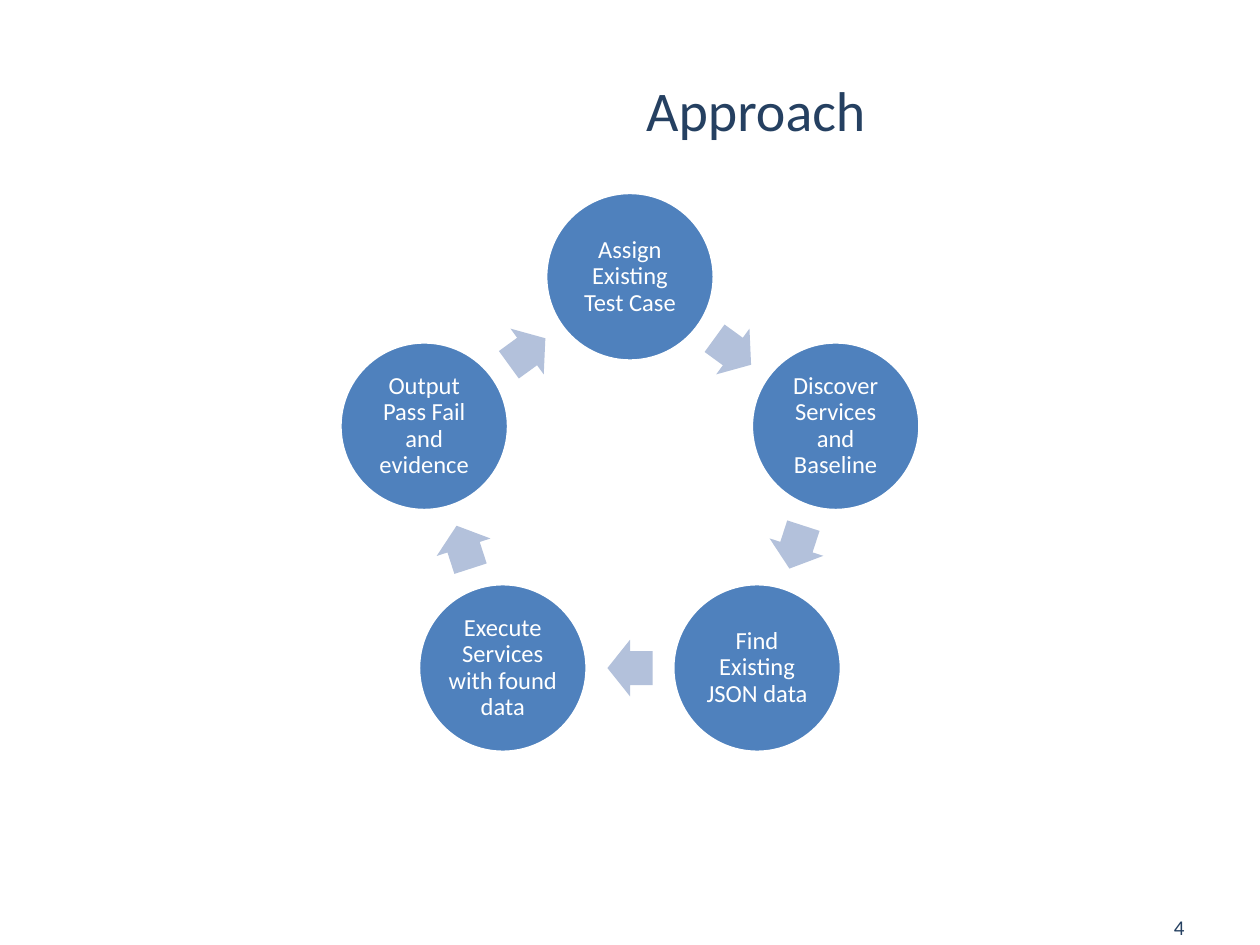
import math
import pptx
import pptx.util
import pptx.dml.color
import pptx.enum.shapes
import pptx.enum.text
from pptx.util import Cm, Pt

SHAPE = pptx.enum.shapes.MSO_SHAPE
ALIGN = pptx.enum.text.PP_ALIGN
NAVY, BLUE, PALE, WHITE = "254061", "4F81BD", "B3C1DB", "FFFFFF"
STEPS = [
    "Assign Existing Test Case",
    "Discover Services and Baseline",
    "Find Existing JSON data",
    "Execute Services with found data",
    "Output Pass Fail and evidence",
]


def color(value):
    return pptx.dml.color.RGBColor.from_string(value)


def write(tf, text, size=14, fill=NAVY, align=ALIGN.CENTER, spacing=None, inset=None):
    tf.word_wrap = True
    tf.vertical_anchor = pptx.enum.text.MSO_ANCHOR.MIDDLE
    if inset is not None:
        tf.margin_left = tf.margin_right = tf.margin_top = tf.margin_bottom = Cm(inset)
    p = tf.paragraphs[0]
    p.alignment = align
    if spacing:
        p.line_spacing = spacing
    r = p.add_run()
    r.text = text
    r.font.name = "Calibri"
    r.font.size = Pt(size)
    r.font.color.rgb = color(fill)


def add_centered(shapes, kind, x, y, w, h, fill):
    sp = shapes.add_shape(kind, Cm(x - w / 2), Cm(y - h / 2), Cm(w), Cm(h))
    sp.shadow.inherit = False
    sp.fill.solid()
    sp.fill.fore_color.rgb = color(fill)
    sp.line.fill.background()
    return sp


def add_title(s, text, left, top, width, height):
    sp = s.shapes.title
    sp.left, sp.top, sp.width, sp.height = Cm(left), Cm(top), Cm(width), Cm(height)
    write(sp.text_frame, text, size=32)


def add_page_number(s, text, left, top, width, height):
    sp = s.shapes.add_textbox(Cm(left), Cm(top), Cm(width), Cm(height))
    write(sp.text_frame, text, size=12, align=ALIGN.RIGHT)


def add_cycle(s, steps, left, top, size, diameter):
    shapes = s.shapes.add_group_shape().shapes
    radius = (size - diameter) / 2
    cx, cy = left + size / 2, top + size / 2
    turn = 360 / len(steps)
    arrow_radius = radius * math.cos(math.radians(turn / 2))

    def point(angle, distance):
        a = math.radians(angle)
        return cx + distance * math.sin(a), cy - distance * math.cos(a)

    for i, step in enumerate(steps):
        x, y = point(i * turn, radius)
        sp = add_centered(shapes, SHAPE.OVAL, x, y, diameter, diameter, BLUE)
        sp.line.color.rgb = color(WHITE)
        sp.line.width = Pt(2)
        write(sp.text_frame, step, fill=WHITE, spacing=0.9, inset=0.05)

        angle = (i + 0.5) * turn
        x, y = point(angle, arrow_radius)
        sp = add_centered(shapes, SHAPE.RIGHT_ARROW, x, y, 0.91, 1.14, PALE)
        sp.adjustments[0] = 0.6
        sp.adjustments[1] = 0.5
        sp.rotation = angle


prs = pptx.Presentation()
prs.slide_width, prs.slide_height = Cm(25.4), Cm(19.05)
s = prs.slides.add_slide(prs.slide_layouts[5])
add_title(s, "Approach", 6.12, 0.61, 18.24, 3.18)
add_page_number(s, "4", 18.21, 18.34, 5.92, 0.69)
add_cycle(s, STEPS, left=6.64, top=3.88, size=12.12, diameter=3.4)
prs.save("out.pptx")
